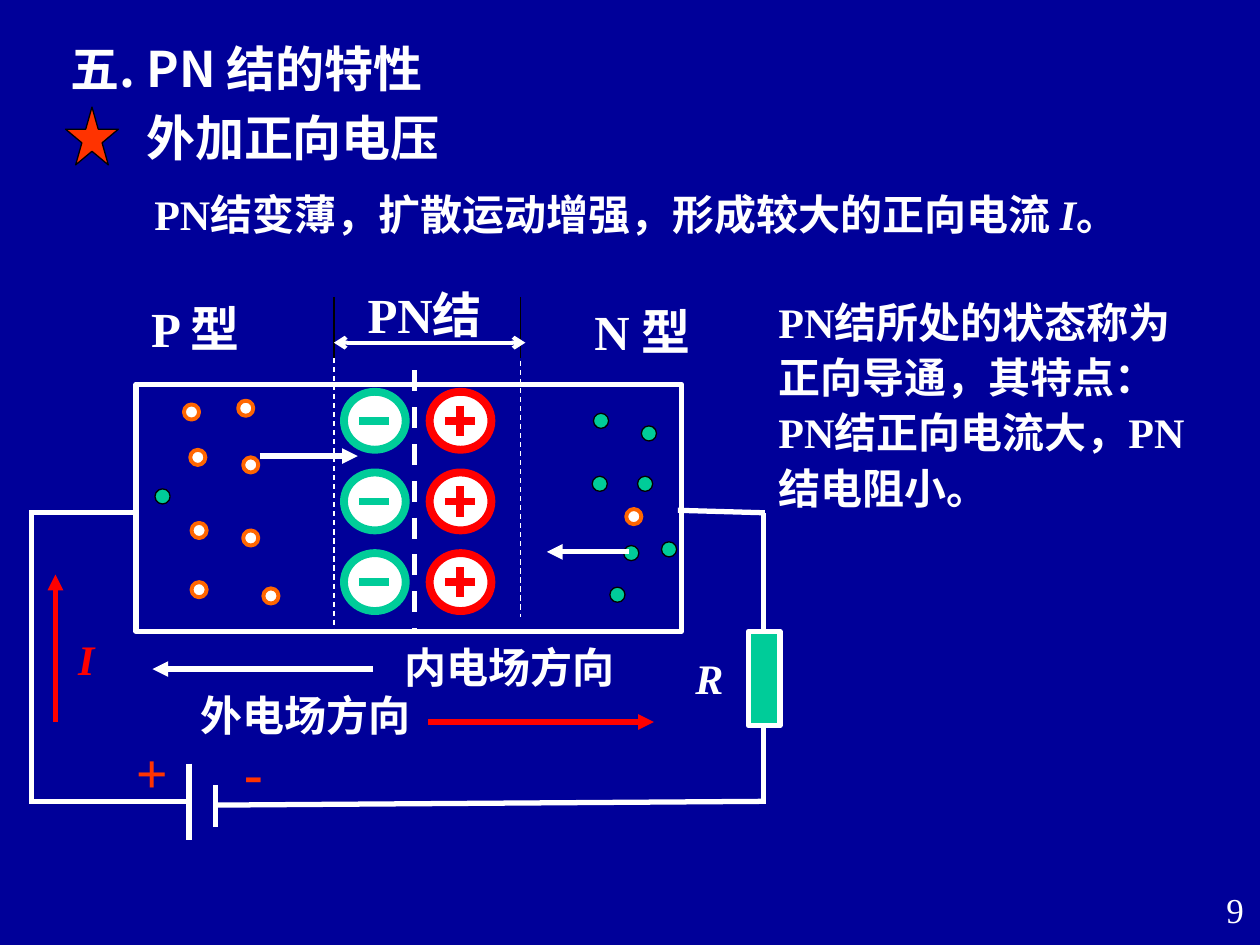
from dataclasses import dataclass
from lxml.etree import SubElement
from pptx import Presentation
from pptx.dml.color import RGBColor
from pptx.enum.dml import MSO_LINE
from pptx.enum.shapes import MSO_CONNECTOR, MSO_SHAPE as SHAPE
from pptx.enum.text import MSO_ANCHOR, MSO_AUTO_SIZE, PP_ALIGN as ALIGN
from pptx.oxml.ns import qn
from pptx.util import Emu, Pt

PX = 9144  # 100 px to the inch


@dataclass(frozen=True)
class Theme:
    back: str = "000099"
    white: str = "FFFFFF"
    black: str = "000000"
    red: str = "FF0000"
    green: str = "00CC99"
    orange: str = "FF6600"
    accent: str = "FF3300"
    serif: str = "Times New Roman"
    sans: str = "Noto Sans CJK SC"
    sign: int = 32
    head: int = 28
    body: int = 24
    number: int = 20
    thin: float = 0.75
    wire: float = 3
    ion: float = 4.5


T = Theme()


def px(*lengths):
    return [Emu(n * PX) for n in lengths]


def rgb(color):
    return RGBColor.from_string(color)


def style_text(sp, paragraphs, size, color=T.white, align=ALIGN.CENTER, font=T.serif,
               bold=True, italic=False, spacing=None):
    """Fill a box; each paragraph is a list of (text, italic) runs or a plain string."""
    tf = sp.text_frame
    tf.word_wrap = align != ALIGN.CENTER
    tf.auto_size = MSO_AUTO_SIZE.NONE
    tf.vertical_anchor = MSO_ANCHOR.MIDDLE
    for i, runs in enumerate(paragraphs):
        p = tf.add_paragraph() if i else tf.paragraphs[0]
        p.alignment = align
        if spacing:
            p.line_spacing = spacing
        f = p.font
        f.size, f.bold, f.italic, f.name = Pt(size), bold, italic, font
        f.color.rgb = rgb(color)
        SubElement(p._p.pPr.find(qn("a:defRPr")), qn("a:ea"), typeface=T.sans)
        for text, slanted in [(runs, None)] if isinstance(runs, str) else runs:
            r = p.add_run()
            r.text = text
            if slanted:
                r.font.italic = True


def add_text(s, box, paragraphs, size, **style):
    style_text(s.shapes.add_textbox(*px(*box)), paragraphs, size, **style)


def add_shape(s, kind, box, fill=None, line=T.white, width=T.thin):
    sp = s.shapes.add_shape(kind, *px(*box))
    sp.shadow.inherit = False
    if fill:
        sp.fill.solid()
        sp.fill.fore_color.rgb = rgb(fill)
    else:
        sp.fill.background()
    sp.line.color.rgb = rgb(line)
    sp.line.width = Pt(width)


def add_line(s, x1, y1, x2, y2, color=T.white, width=T.wire, dash=False, head=None, tail=None):
    c = s.shapes.add_connector(MSO_CONNECTOR.STRAIGHT, *px(x1, y1, x2, y2))
    c.line.color.rgb = rgb(color)
    c.line.width = Pt(width)
    if dash:
        c.line.dash_style = MSO_LINE.DASH
    ln = c.line._get_or_add_ln()
    for tag, end in (("a:headEnd", head), ("a:tailEnd", tail)):
        if end:
            SubElement(ln, qn(tag), type=end)
    SubElement(c._element.spPr, qn("a:effectLst"))


def add_ion(s, x, y, color, positive):
    w, h, arm = 49, 46, 12
    add_shape(s, SHAPE.OVAL, (x, y, w, h), T.white, color, T.ion)
    cx, cy = x + w // 2, y + h // 2
    add_line(s, cx - arm, cy, cx + arm, cy, color, T.ion)
    if positive:
        add_line(s, cx, cy - arm, cx, cy + arm, color, T.ion)


def add_carriers(s, places, fill, line, width):
    for x, y in places:
        add_shape(s, SHAPE.OVAL, (x, y, 12, 12), fill, line, width)


def add_headings(s):
    title = s.shapes.title
    title.left, title.top, title.width, title.height = px(46, 25, 345, 57)
    style_text(title, ["五. PN 结的特性"], T.head, align=ALIGN.LEFT, font=T.sans)
    add_shape(s, SHAPE.STAR_5_POINT, (52, 85, 42, 46), T.accent, T.black)
    add_text(s, (100, 80, 265, 57), ["外加正向电压"], T.head)
    add_text(s, (45, 145, 920, 50),
             [[("PN结变薄，扩散运动增强，形成较大的正向电流 ", False), ("I", True), ("。", False)]],
             T.body)
    add_text(s, (608, 226, 380, 186),
             ["PN结所处的状态称为", "正向导通，其特点：", "PN结正向电流大，PN", "结电阻小。"],
             T.body, align=ALIGN.LEFT, spacing=1.1)
    add_text(s, (789, 697, 208, 50), ["9"], T.number, align=ALIGN.RIGHT, bold=False)


def add_circuit(s):
    wires = [(606, 638, 606, 407), (607, 407, 538, 405), (109, 407, 25, 407),
             (25, 405, 25, 638), (25, 636, 148, 636), (171, 639, 606, 636)]
    battery = [(150, 606, 150, 667), (171, 623, 171, 656)]
    for ends in wires + battery:
        add_line(s, *ends)
    for x, sign in ((98, "+"), (184, "-")):
        add_text(s, (x, 580, 67, 64), [sign], T.sign, color=T.accent, align=ALIGN.LEFT)
    add_shape(s, SHAPE.RECTANGLE, (594, 501, 25, 75), T.green, T.white, T.wire)
    add_text(s, (542, 513, 42, 50), ["R"], T.body, italic=True)
    add_line(s, 44, 573, 44, 456, T.red, tail="triangle")
    add_text(s, (52, 498, 33, 50), ["I"], T.body, color=T.red, italic=True)


def add_junction(s):
    for row in range(3):
        y = 311 + 64 * row
        add_ion(s, 273, y, T.green, False)
        add_ion(s, 341, y, T.red, True)
    holes = [(193, 363), (193, 421), (152, 415), (152, 462), (151, 357),
             (146, 321), (189, 318), (209, 467), (497, 404)]
    electrons = [(509, 338), (506, 378), (470, 378), (525, 430), (495, 433),
                 (484, 466), (471, 328), (123, 388)]
    add_carriers(s, holes, T.white, T.orange, 2.25)
    add_carriers(s, electrons, T.green, T.black, T.thin)
    add_shape(s, SHAPE.RECTANGLE, (108, 305, 433, 196), None, T.white, T.wire)
    add_line(s, 329, 294, 329, 502, dash=True)
    add_line(s, 206, 362, 284, 362, tail="triangle")
    add_line(s, 499, 438, 434, 438, tail="triangle")
    for x, top, bottom in ((265, 284, 502), (413, 272, 490)):
        add_line(s, x, top, x, bottom, width=T.thin, dash=True)
        add_line(s, x, 284, x, 236, T.black, 1)
    add_line(s, 265, 272, 417, 272, width=2.25, head="arrow", tail="arrow")
    for box, name in (((102, 232, 106, 57), "P 型"), ((457, 234, 106, 57), "N 型"),
                      ((277, 221, 120, 57), "PN结")):
        add_text(s, box, [name], T.head)


def add_field_directions(s):
    add_text(s, (302, 504, 204, 50), ["内电场方向"], T.body)
    add_line(s, 121, 531, 296, 531, head="triangle")
    add_text(s, (144, 542, 197, 50), ["外电场方向"], T.body)
    add_line(s, 340, 573, 519, 573, T.red, tail="triangle")


def main():
    prs = Presentation()
    prs.slide_width, prs.slide_height = px(1000, 750)
    s = prs.slides.add_slide(prs.slide_layouts[5])
    s.background.fill.solid()
    s.background.fill.fore_color.rgb = rgb(T.back)
    add_headings(s)
    add_circuit(s)
    add_junction(s)
    add_field_directions(s)
    prs.save("out.pptx")


if __name__ == "__main__":
    main()
